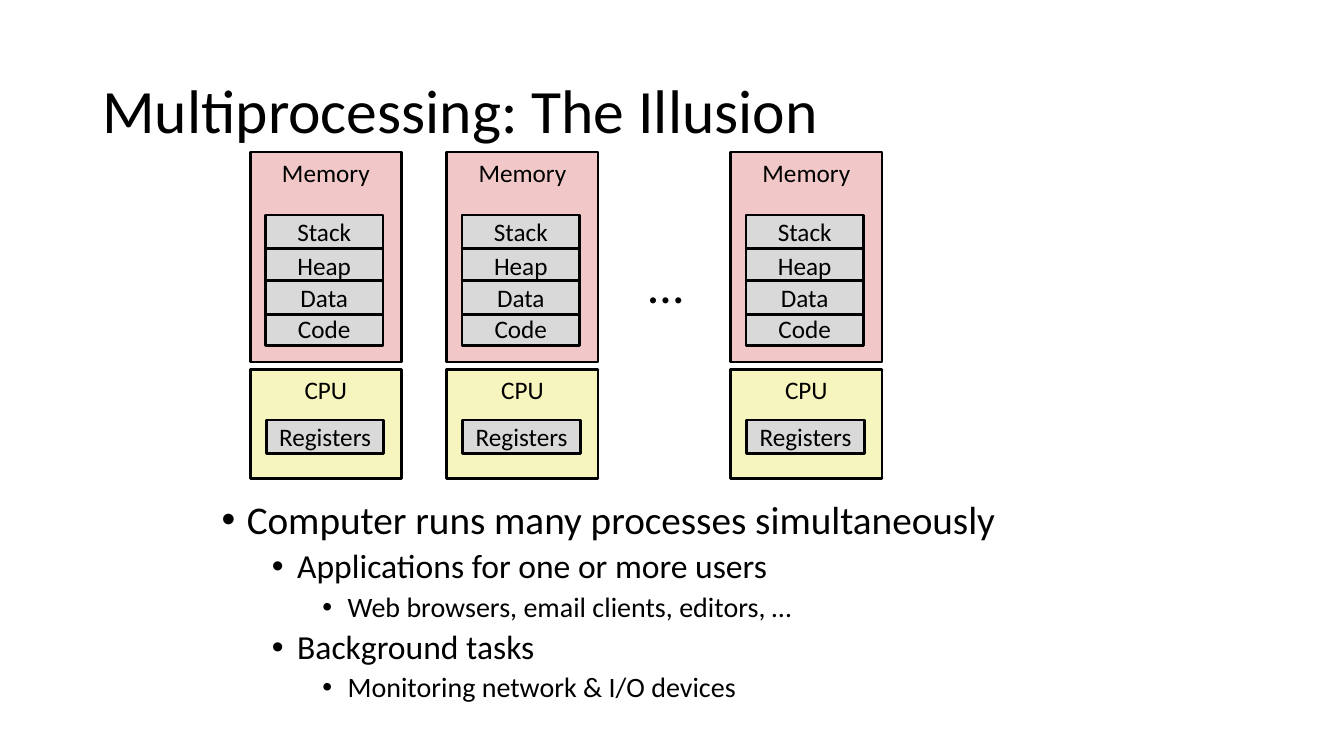
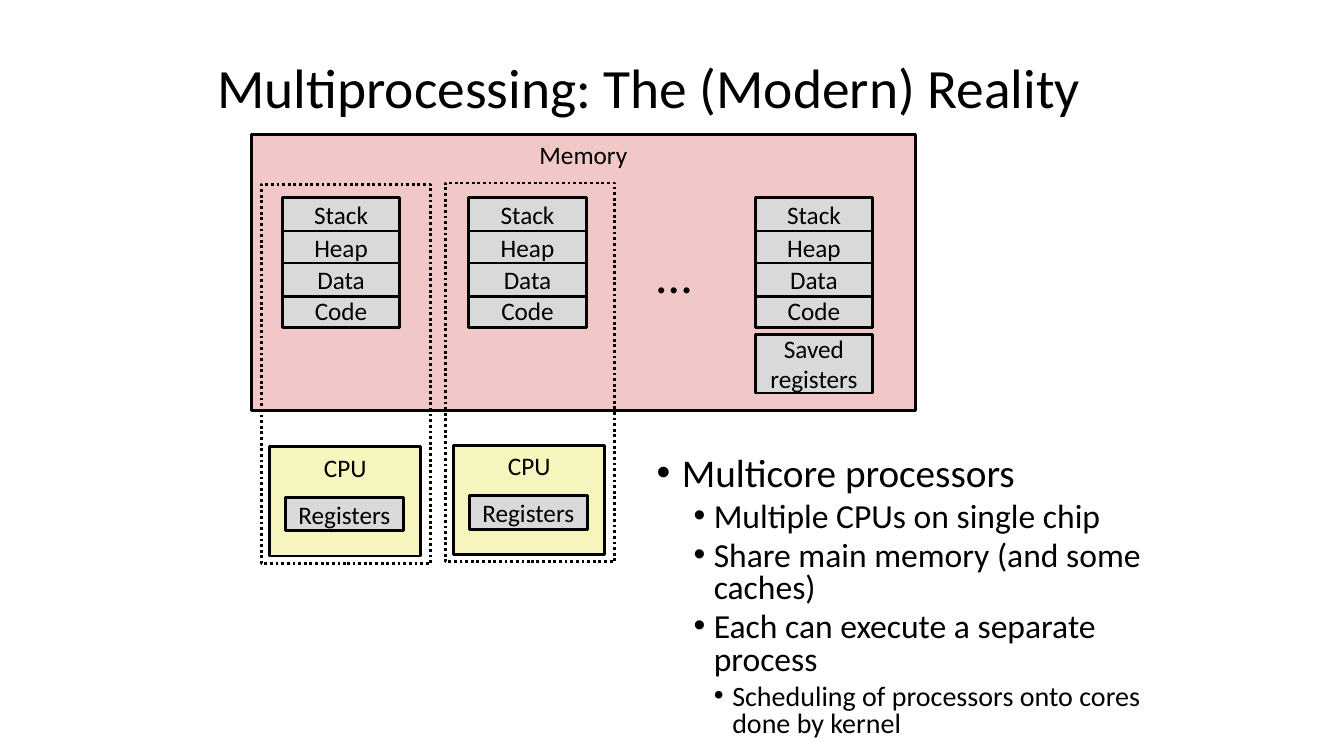
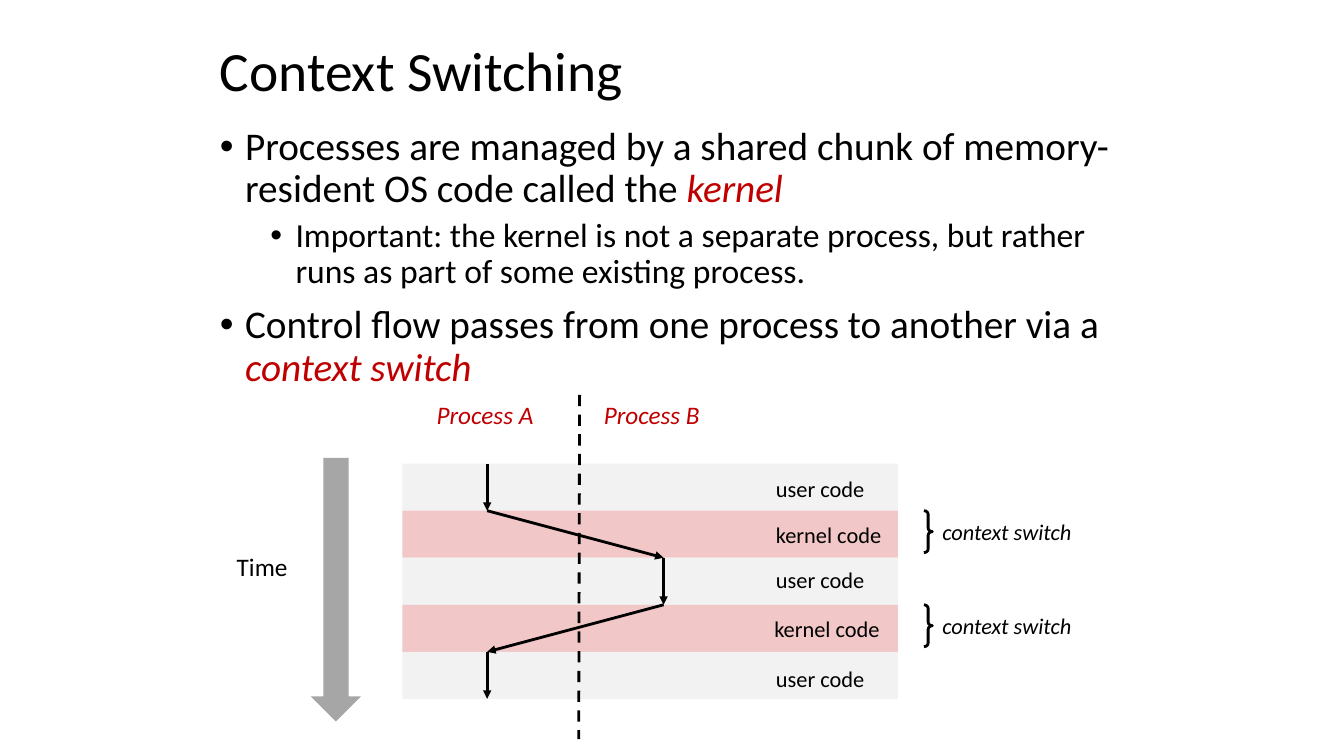
from dataclasses import dataclass
from itertools import pairwise
from typing import NamedTuple, Sequence

from lxml import etree
from pptx import Presentation
from pptx import util as u
from pptx.dml.color import RGBColor
from pptx.enum import dml, shapes, text
from pptx.oxml.ns import qn

# The slide is a grid of 160 columns by 90 rows of square cells.
COLUMNS, ROWS = 160, 90
CELL = u.Inches(7.5) / ROWS

FONT = "Calibri"
BLACK, RED = "000000", "C00000"
PINK, YELLOW, GRAY = "F1C7C7", "F6F5BD", "D9D9D9"
PALE, TIME_GRAY = "F2F2F2", "A6A6A6"
BODY_SIZES = (28, 24, 20)
LABEL_SIZE, SMALL_SIZE, TITLE_SIZE = 18, 16, 39.6
TOP, MIDDLE = text.MSO_ANCHOR.TOP, text.MSO_ANCHOR.MIDDLE
RECTANGLE = shapes.MSO_SHAPE.RECTANGLE


class Frame(NamedTuple):
    """A rectangle in grid cells."""

    col: float
    row: float
    cols: float
    rows: float


class Point(NamedTuple):
    """A position in grid cells."""

    col: float
    row: float


class Indent(NamedTuple):
    """Left margin and hanging width of a bullet level, in cells."""

    margin: float
    hanging: float


@dataclass(frozen=True)
class Bullet:
    """A bulleted paragraph, with an optional emphasised ending."""

    words: str
    level: int = 0
    emphasis: str = ""


@dataclass(frozen=True)
class Band:
    """A stretch of executed code in the time diagram."""

    label: str
    label_at: Point
    is_switch: bool = False


SECTIONS = (("Stack", 0), ("Heap", 4), ("Code", 11.5), ("Data", 7.8))
WIDE_INDENTS = (Indent(3, 3), Indent(9, 3), Indent(15, 3))
TIGHT_INDENTS = (Indent(3, 3), Indent(6.8, 2.4), Indent(9, 2.2))


def cells(count: float) -> u.Emu:
    """Turn grid cells into a length."""
    return u.Emu(round(count * CELL))


def colour(value: str) -> RGBColor:
    """Turn a hex string into a colour."""
    return RGBColor.from_string(value)


def set_font(font, size: float, ink: str = BLACK, italic: bool = False) -> None:
    """Style the font of a paragraph or span."""
    font.name, font.size, font.italic = FONT, u.Pt(size), italic
    font.color.rgb = colour(ink)


def add_box(page, frame: Frame, fill: str | None = None, outlined: bool = True,
            kind=RECTANGLE):
    """Add a preset shape with a plain fill and an optional black outline."""
    box = page.shapes.add_shape(kind, *map(cells, frame))
    box.shadow.inherit = False
    if fill:
        box.fill.solid()
        box.fill.fore_color.rgb = colour(fill)
    else:
        box.fill.background()
    if outlined:
        box.line.color.rgb = colour(BLACK)
        box.line.width = u.Pt(2)
    else:
        box.line.fill.background()
    return box


def add_labelled_box(page, frame: Frame, words: str, fill: str = GRAY,
                     anchor=MIDDLE) -> None:
    """Add an outlined rectangle with a centred label."""
    box = add_box(page, frame, fill)
    box.text_frame.vertical_anchor = anchor
    box.text_frame.word_wrap = True
    para = box.text_frame.paragraphs[0]
    para.text = words
    para.alignment = text.PP_ALIGN.CENTER
    set_font(para.font, LABEL_SIZE)


def add_label(page, frame: Frame, words: str, size: float = LABEL_SIZE,
              ink: str = BLACK, italic: bool = False) -> None:
    """Add a one-line text that does not wrap."""
    box = page.shapes.add_textbox(*map(cells, frame))
    box.text_frame.word_wrap = False
    box.text_frame.auto_size = text.MSO_AUTO_SIZE.SHAPE_TO_FIT_TEXT
    para = box.text_frame.paragraphs[0]
    para.text = words
    set_font(para.font, size, ink, italic)


def add_title(page, frame: Frame, words: str, size: float = TITLE_SIZE) -> None:
    """Add the slide title."""
    box = page.shapes.add_textbox(*map(cells, frame))
    box.text_frame.word_wrap = True
    box.text_frame.vertical_anchor = MIDDLE
    para = box.text_frame.paragraphs[0]
    para.text = words
    para.line_spacing = 0.9
    set_font(para.font, size)


def add_bullets(page, frame: Frame, bullets: Sequence[Bullet],
                indents: Sequence[Indent] = WIDE_INDENTS,
                spacing: float = 0.9) -> None:
    """Add a bulleted list."""
    body = page.shapes.add_textbox(*map(cells, frame)).text_frame
    body.word_wrap = True
    for index, bullet in enumerate(bullets):
        para = body.add_paragraph() if index else body.paragraphs[0]
        para.level = bullet.level
        para.line_spacing = spacing
        para.space_before = u.Pt(5 if bullet.level else 10)
        indent = indents[bullet.level]
        properties = para._p.get_or_add_pPr()
        properties.set("marL", str(cells(indent.margin)))
        properties.set("indent", str(-cells(indent.hanging)))
        etree.SubElement(properties, qn("a:buFont"), typeface="Arial")
        etree.SubElement(properties, qn("a:buChar"), char="•")
        size = BODY_SIZES[bullet.level]
        set_font(para.font, size)
        para.add_run().text = bullet.words
        if bullet.emphasis:
            span = para.add_run()
            span.text = bullet.emphasis
            set_font(span.font, size, RED, italic=True)


def add_line(page, start: Point, end: Point, arrow: bool = False) -> None:
    """Add a black line: solid with an arrowhead, or dashed without."""
    line = page.shapes.add_connector(
        shapes.MSO_CONNECTOR.STRAIGHT, *map(cells, (*start, *end)))
    line.line.color.rgb = colour(BLACK)
    line.line.width = u.Pt(2)
    if arrow:
        etree.SubElement(line.line._get_or_add_ln(), qn("a:tailEnd"), type="triangle")
    else:
        line.line.dash_style = dml.MSO_LINE.DASH
    etree.SubElement(line._element.spPr, qn("a:effectLst"))


def add_sections(page, col: float, row: float) -> None:
    """Add the stacked memory sections of one process."""
    for name, offset in SECTIONS:
        add_labelled_box(page, Frame(col, row + offset, 14, 4), name)


def add_cpu(page, col: float, row: float) -> None:
    """Add a CPU with its registers."""
    add_labelled_box(page, Frame(col, row, 18, 13), "CPU", YELLOW, TOP)
    add_labelled_box(page, Frame(col + 1.9, row + 6, 14, 4), "Registers")


def add_memory(page, frame: Frame) -> None:
    """Add a memory block."""
    add_labelled_box(page, frame, "Memory", PINK, TOP)


def add_ellipsis(page, col: float, row: float) -> None:
    """Add the dots that stand for further processes."""
    add_label(page, Frame(col, row, 6.7, 8.5), "…", 36)


def draw_illusion(page) -> None:
    """Each process seems to own a memory and a CPU."""
    add_title(page, Frame(11, 4.8, 138, 17.4), "Multiprocessing: The Illusion", 44)
    add_bullets(page, Frame(25.2, 59, 103.7, 25.9), (
        Bullet("Computer runs many processes simultaneously"),
        Bullet("Applications for one or more users", 1),
        Bullet("Web browsers, email clients, editors, …", 2),
        Bullet("Background tasks", 1),
        Bullet("Monitoring network & I/O devices", 2),
    ))
    for col in (29.8, 53.2, 87):
        add_cpu(page, col, 44)
        add_memory(page, Frame(col, 18.1, 18, 25))
        add_sections(page, col + 1.8, 25.6)
    add_ellipsis(page, 76, 29.6)


def draw_reality(page) -> None:
    """Processes share one memory and run on several cores."""
    add_title(page, Frame(24.7, 5.8, 111.4, 10),
              "Multiprocessing: The (Modern) Reality")
    add_bullets(page, Frame(77, 53.9, 65, 35), (
        Bullet("Multicore processors"),
        Bullet("Multiple CPUs on single chip", 1),
        Bullet("Share main memory (and some caches)", 1),
        Bullet("Each can execute a separate process", 1),
        Bullet("Scheduling of processors onto cores done by kernel", 2),
    ), TIGHT_INDENTS, 0.8)
    add_memory(page, Frame(29.9, 16, 79.1, 32.9))
    for col in (33.6, 55.8, 89.9):
        add_sections(page, col, 23.5)
    add_labelled_box(page, Frame(89.9, 39.8, 14, 7), "Saved registers")
    add_ellipsis(page, 77, 28.4)
    for col, row in ((54, 53), (32.1, 53.2)):
        add_cpu(page, col, row)
        core = add_box(page, Frame(col - 1, row - 31.2, 20.2, 45.1))
        core.line.dash_style = dml.MSO_LINE.ROUND_DOT


def draw_context_switching(page) -> None:
    """Control passes between two processes over time."""
    bands = (
        Band("user code", Point(91.2, 56)),
        Band("kernel code", Point(91.2, 61.4), True),
        Band("user code", Point(91.2, 66.8)),
        Band("kernel code", Point(91, 72.6), True),
        Band("user code", Point(91.2, 78.6)),
    )
    first_row, step = 55.2, 5.6
    for index, band in enumerate(bands):
        row = first_row + index * step
        add_box(page, Frame(47.9, row, 59, step),
                PINK if band.is_switch else PALE, outlined=False)
        add_label(page, Frame(*band.label_at, 15.4 if band.is_switch else 13.2, 4.4),
                  band.label, SMALL_SIZE)
        if band.is_switch:
            brace = add_box(page, Frame(110, row, 1, 5),
                            kind=shapes.MSO_SHAPE.RIGHT_BRACE)
            brace.adjustments[0] = 0.42
            add_label(page, Frame(111, row + 0.25, 18.5, 4.4), "context switch",
                      SMALL_SIZE, italic=True)

    add_title(page, Frame(25, 5, 76.7, 7.6), "Context Switching")
    add_bullets(page, Frame(25, 14.5, 108.8, 33.5), (
        Bullet("Processes are managed by a shared chunk of memory-resident OS code "
               "called the ", emphasis="kernel"),
        Bullet("Important: the kernel is not a separate process, but rather runs as "
               "part of some existing process.", 1),
        Bullet("Control flow passes from one process to another via a ",
               emphasis="context switch"),
    ))
    for name, col in (("Process A", 50.8), ("Process B", 70.7)):
        add_label(page, Frame(col, 47, 14.4, 4.8), name, ink=RED, italic=True)
    add_line(page, Point(69, 47), Point(68.9, 88))
    add_label(page, Frame(27, 65, 8.5, 4.8), "Time")
    add_box(page, Frame(37, 54.5, 6, 31.4), TIME_GRAY, outlined=False,
            kind=shapes.MSO_SHAPE.DOWN_ARROW)
    process_a, process_b = 58, 79
    control_cols = (process_a, process_a, process_b, process_b, process_a, process_a)
    flow = [Point(col, first_row + index * step)
            for index, col in enumerate(control_cols)]
    for start, end in pairwise(flow):
        add_line(page, start, end, arrow=True)


def main() -> None:
    """Build and save the deck."""
    deck = Presentation()
    deck.slide_width, deck.slide_height = cells(COLUMNS), cells(ROWS)
    blank = deck.slide_layouts[6]
    for draw in (draw_illusion, draw_reality, draw_context_switching):
        draw(deck.slides.add_slide(blank))
    deck.save("out.pptx")


main()
